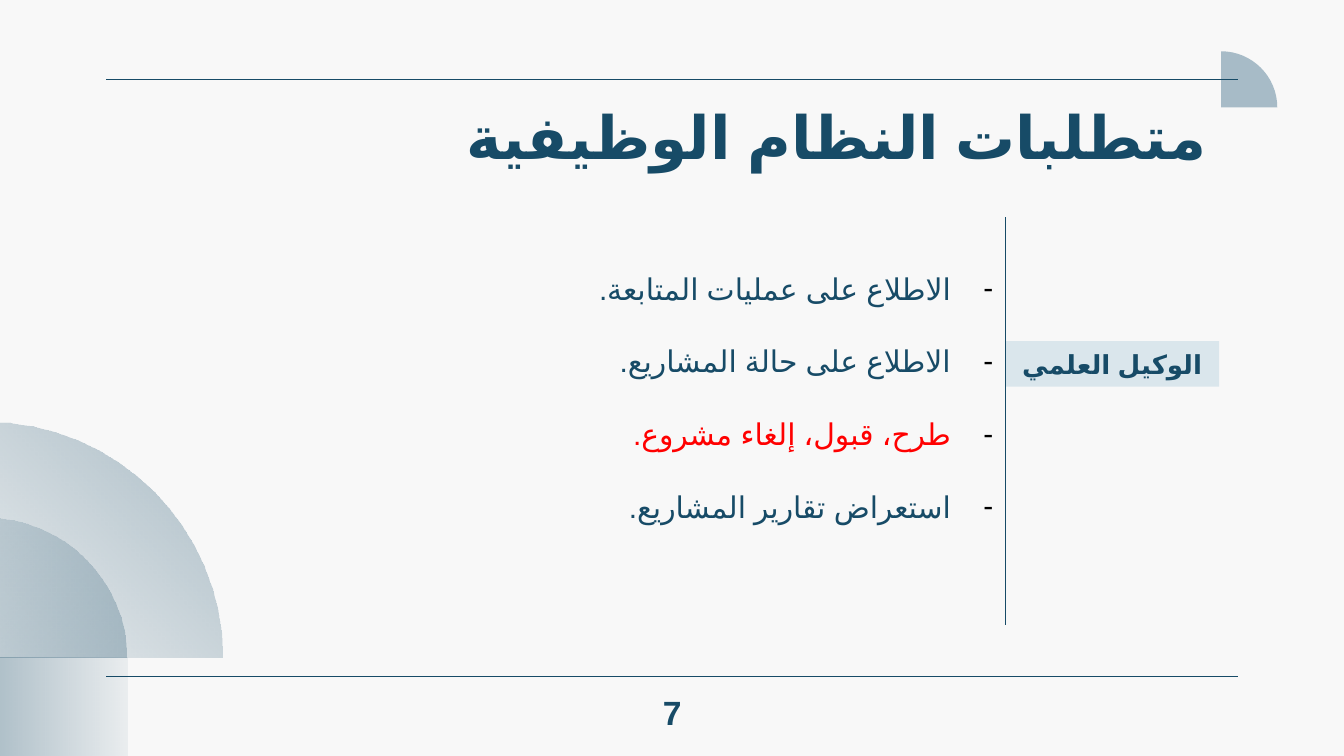
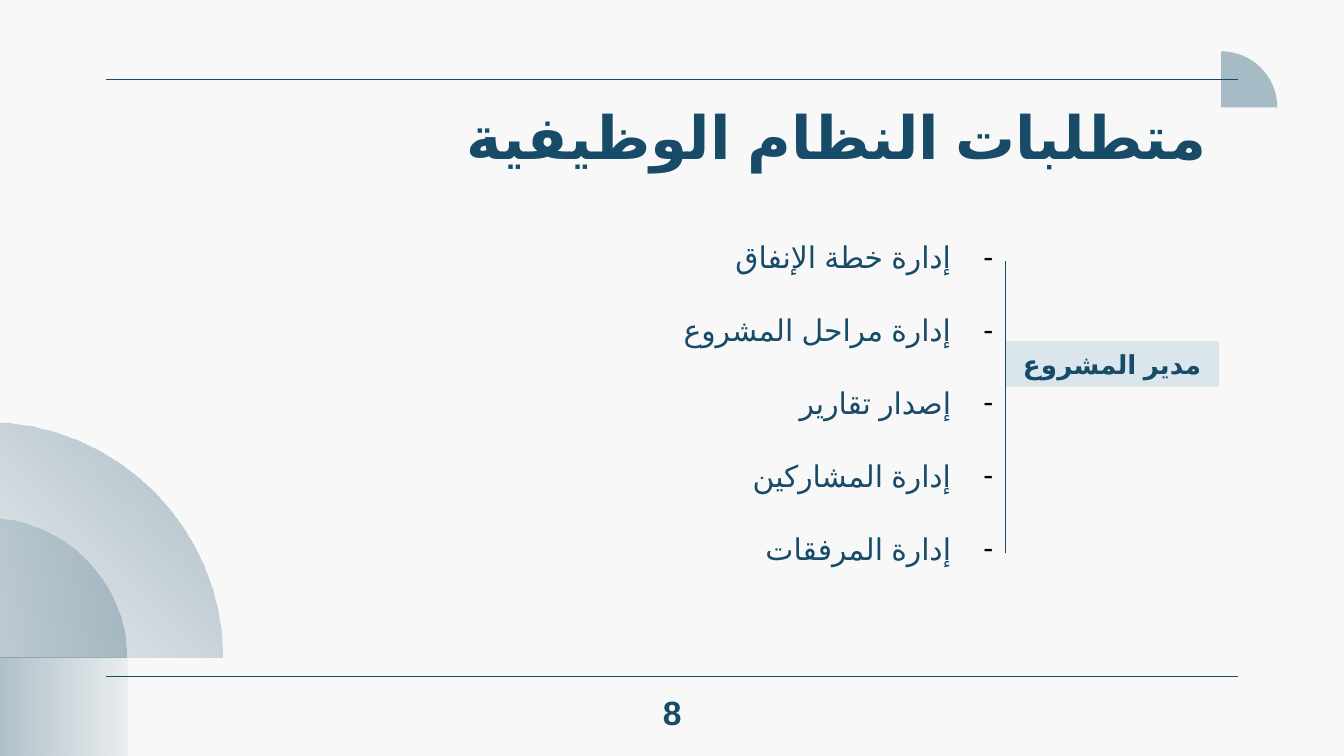
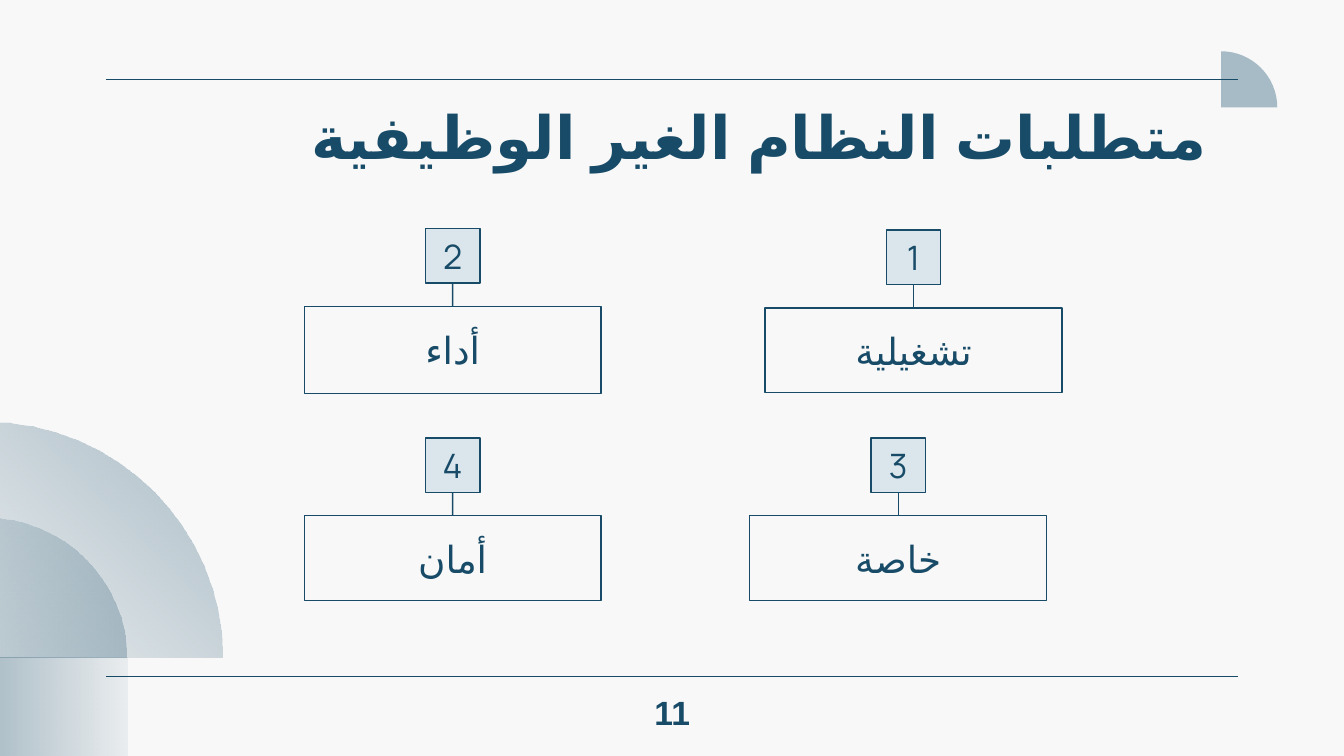
from dataclasses import dataclass

from lxml import etree
from pptx import Presentation
from pptx.dml.color import RGBColor
from pptx.enum.lang import MSO_LANGUAGE_ID
from pptx.enum.shapes import MSO_CONNECTOR, MSO_SHAPE
from pptx.enum.text import MSO_ANCHOR, MSO_AUTO_SIZE, PP_ALIGN
from pptx.oxml.ns import qn
from pptx.util import Cm, Pt

RECTANGLE = MSO_SHAPE.RECTANGLE
STRAIGHT = MSO_CONNECTOR.STRAIGHT
TOP, MIDDLE = MSO_ANCHOR.TOP, MSO_ANCHOR.MIDDLE
CENTER, RIGHT = PP_ALIGN.CENTER, PP_ALIGN.RIGHT
ARABIC, ENGLISH = MSO_LANGUAGE_ID.ARABIC, MSO_LANGUAGE_ID.ENGLISH_US
TOP_SIDE, BOTTOM_SIDE = 0, 2
CONTENT_LAYOUT, TITLE_LAYOUT = 1, 5


@dataclass(frozen=True)
class TextStyle:
    size: float
    bold: bool = False
    font: str = "Arial"
    language: MSO_LANGUAGE_ID = ARABIC


@dataclass(frozen=True)
class Theme:
    paper: str = "F8F8F8"
    navy: str = "174B67"
    corner: str = "A7BBC7"
    pale: str = "DAE6EC"
    alert: str = "FF0000"
    bullet: str = "000000"
    line_width: float = 0.75
    item_gap: float = 19.8
    title: TextStyle = TextStyle(32, True)
    item: TextStyle = TextStyle(16)
    role: TextStyle = TextStyle(14, True)
    page_number: TextStyle = TextStyle(18, True, language=ENGLISH)
    card: TextStyle = TextStyle(20)
    card_number: TextStyle = TextStyle(18, font="Manrope", language=ENGLISH)


THEME = Theme()


@dataclass(frozen=True)
class Area:
    left: float
    top: float
    width: float
    height: float

    def lengths(self) -> tuple:
        return Cm(self.left), Cm(self.top), Cm(self.width), Cm(self.height)


@dataclass(frozen=True)
class QuarterDisc:
    center_x: float
    center_y: float
    radius: float


@dataclass(frozen=True)
class Fade:
    start_alpha: int
    end_alpha: int
    angle: int


@dataclass(frozen=True)
class Item:
    text: str
    color: str = THEME.navy


@dataclass(frozen=True)
class RolePage:
    number: str
    role: str
    list_top: float
    list_height: float
    rule_top: float
    rule_bottom: float
    items: tuple


@dataclass(frozen=True)
class Card:
    number: str
    text: str
    left: float
    top: float
    height: float = 1.6


TITLE_AREA = Area(1.65, 1.63, 21.41, 1.45)
NUMBER_AREA = Area(11.84, 12.85, 1.73, 1.22)
ROLE_AREA = Area(19, 6.45, 4.04, 0.86)
LIST_LEFT, LIST_WIDTH, LIST_INDENT = -2.39, 21.41, 0.79
RULE_LEFT, RULE_RIGHT, RULE_TOPS = 2.01, 23.39, (1.5, 12.79)
CARD_WIDTH, BADGE_SIDE, BADGE_RISE = 5.61, 1.03, 1.47
ARC_HANDLE = 0.55

CORNER_DISC = QuarterDisc(23.08, 2.03, 1.06)
FADING_DISCS = (
    (QuarterDisc(-0.25, 12.43, 4.46), Fade(35, 6, 225)),
    (QuarterDisc(-0.25, 12.43, 2.65), Fade(15, 26, 315)),
)
FOOT_BLOCK, FOOT_FADE = Area(-0.25, 12.43, 2.67, 1.86), Fade(35, 6, 0)

FUNCTIONAL_TITLE = "متطلبات النظام الوظيفية"
QUALITY_TITLE = "متطلبات النظام الغير الوظيفية"

ROLE_PAGES = (
    RolePage("7", "الوكيل العلمي", 4.98, 5.05, 4.11, 11.81, (
        Item("الاطلاع على عمليات المتابعة."),
        Item("الاطلاع على حالة المشاريع."),
        Item("طرح، قبول، إلغاء مشروع.", THEME.alert),
        Item("استعراض تقارير المشاريع."),
    )),
    RolePage("8", "مدير المشروع", 4.39, 7.09, 4.93, 10.46, (
        Item("إدارة خطة الإنفاق"),
        Item("إدارة مراحل المشروع"),
        Item("إصدار تقارير"),
        Item("إدارة المشاركين"),
        Item("إدارة المرفقات"),
    )),
)

CARDS = (
    Card("1", "تشغيلية", 14.46, 5.82),
    Card("2", "أداء", 5.75, 5.79, 1.65),
    Card("3", "خاصة", 14.17, 9.75),
    Card("4", "أمان", 5.75, 9.75),
)


def rgb(color: str) -> RGBColor:
    return RGBColor.from_string(color)


def add_span(para, text: str, style: TextStyle, color: str = THEME.navy) -> None:
    span = para.add_run()
    span.text = text
    span.font.size = Pt(style.size)
    span.font.bold = style.bold
    span.font.name = style.font
    span.font.language_id = style.language
    span.font.color.rgb = rgb(color)
    complex_font = etree.SubElement(span.font._element, qn("a:cs"))
    complex_font.set("typeface", style.font)


def prepare_frame(box, anchor, inset: float = 0.25):
    frame = box.text_frame
    frame.word_wrap = True
    frame.auto_size = MSO_AUTO_SIZE.NONE
    frame.vertical_anchor = anchor
    frame.margin_left = frame.margin_right = Cm(0.25)
    frame.margin_top = frame.margin_bottom = Cm(inset)
    return frame


def write_line(box, text: str, style: TextStyle, align, anchor, inset: float = 0.25) -> None:
    para = prepare_frame(box, anchor, inset).paragraphs[0]
    para.alignment = align
    add_span(para, text, style)


def place(box, area: Area) -> None:
    box.left, box.top, box.width, box.height = area.lengths()


def paint(shape, fill: str = "", line: str = "") -> None:
    shape.shadow.inherit = False
    if fill:
        shape.fill.solid()
        shape.fill.fore_color.rgb = rgb(fill)
    else:
        shape.fill.background()
    if line:
        shape.line.color.rgb = rgb(line)
        shape.line.width = Pt(THEME.line_width)
    else:
        shape.line.fill.background()


def paint_fade(shape, fade: Fade) -> None:
    paint(shape)
    shape.fill.gradient()
    shape.fill.gradient_angle = fade.angle
    for stop in shape.fill.gradient_stops:
        stop.color.rgb = rgb(THEME.navy)
    colors = shape._element.spPr.iterfind(".//" + qn("a:srgbClr"))
    for color, alpha in zip(colors, (fade.start_alpha, fade.end_alpha)):
        etree.SubElement(color, qn("a:alpha")).set("val", str(alpha * 1000))


def add_rectangle(page, area: Area, fill: str = "", line: str = ""):
    shape = page.shapes.add_shape(RECTANGLE, *area.lengths())
    paint(shape, fill, line)
    return shape


def add_quarter_disc(page, disc: QuarterDisc):
    center_x, center_y, radius = Cm(disc.center_x), Cm(disc.center_y), Cm(disc.radius)
    outline = page.shapes.build_freeform(center_x, center_y)
    outline.add_line_segments(
        [(center_x, center_y - radius), (center_x + radius, center_y)], close=True)
    shape = outline.convert_to_shape()
    side = list(shape._element.iter(qn("a:lnTo")))[1]
    curve = etree.Element(qn("a:cubicBezTo"))
    handle = round(radius * ARC_HANDLE)
    for x, y in ((handle, 0), (radius, radius - handle), (radius, radius)):
        point = etree.SubElement(curve, qn("a:pt"))
        point.set("x", str(x))
        point.set("y", str(y))
    side.getparent().replace(side, curve)
    return shape


def add_line(page, start_x: float, start_y: float, end_x: float, end_y: float):
    line = page.shapes.add_connector(
        STRAIGHT, Cm(start_x), Cm(start_y), Cm(end_x), Cm(end_y))
    line.line.color.rgb = rgb(THEME.navy)
    line.line.width = Pt(THEME.line_width)
    etree.SubElement(line._element.spPr, qn("a:effectLst"))
    return line


def add_page(deck, layout: int, title: str, number: str):
    page = deck.slides.add_slide(deck.slide_layouts[layout])
    paint(add_quarter_disc(page, CORNER_DISC), THEME.corner)
    for top in RULE_TOPS:
        add_line(page, RULE_LEFT, top, RULE_RIGHT, top)
    paint_fade(add_rectangle(page, FOOT_BLOCK), FOOT_FADE)
    for disc, fade in FADING_DISCS:
        paint_fade(add_quarter_disc(page, disc), fade)
    place(page.shapes.title, TITLE_AREA)
    write_line(page.shapes.title, title, THEME.title, RIGHT, TOP)
    number_box = page.shapes.add_textbox(*NUMBER_AREA.lengths())
    write_line(number_box, number, THEME.page_number, CENTER, MIDDLE)
    return page


def set_dash_bullet(para) -> None:
    properties = para._p.get_or_add_pPr()
    properties.set("marL", str(Cm(LIST_INDENT)))
    properties.set("indent", str(-Cm(LIST_INDENT)))
    properties.set("rtl", "1")
    bullet_color = etree.SubElement(properties, qn("a:buClr"))
    etree.SubElement(bullet_color, qn("a:srgbClr")).set("val", THEME.bullet)
    etree.SubElement(properties, qn("a:buFont")).set("typeface", THEME.item.font)
    etree.SubElement(properties, qn("a:buChar")).set("char", "-")


def write_items(box, items: tuple) -> None:
    frame = prepare_frame(box, TOP, 0.13)
    for index, item in enumerate(items):
        para = frame.add_paragraph() if index else frame.paragraphs[0]
        para.alignment = RIGHT
        para.space_before = Pt(0)
        para.space_after = Pt(THEME.item_gap)
        set_dash_bullet(para)
        add_span(para, item.text, THEME.item, item.color)


def add_role_page(deck, content: RolePage) -> None:
    page = add_page(deck, CONTENT_LAYOUT, FUNCTIONAL_TITLE, content.number)
    body = page.placeholders[1]
    place(body, Area(LIST_LEFT, content.list_top, LIST_WIDTH, content.list_height))
    write_items(body, content.items)
    role_box = add_rectangle(page, ROLE_AREA, THEME.pale)
    write_line(role_box, content.role, THEME.role, CENTER, TOP, 0.13)
    add_line(page, ROLE_AREA.left, content.rule_top, ROLE_AREA.left, content.rule_bottom)


def add_card(page, card: Card) -> None:
    box = add_rectangle(
        page, Area(card.left, card.top, CARD_WIDTH, card.height), line=THEME.navy)
    write_line(box, card.text, THEME.card, CENTER, MIDDLE)
    badge_left = card.left + (CARD_WIDTH - BADGE_SIDE) / 2
    badge_area = Area(badge_left, card.top - BADGE_RISE, BADGE_SIDE, BADGE_SIDE)
    badge = add_rectangle(page, badge_area, THEME.pale, THEME.navy)
    write_line(badge, card.number, THEME.card_number, CENTER, MIDDLE)
    middle = card.left + CARD_WIDTH / 2
    stem = add_line(page, middle, badge_area.top + BADGE_SIDE, middle, card.top)
    stem.begin_connect(badge, BOTTOM_SIDE)
    stem.end_connect(box, TOP_SIDE)


def main() -> None:
    deck = Presentation()
    deck.slide_width, deck.slide_height = Cm(25.4), Cm(14.29)
    background = deck.slide_master.background.fill
    background.solid()
    background.fore_color.rgb = rgb(THEME.paper)
    for content in ROLE_PAGES:
        add_role_page(deck, content)
    cards_page = add_page(deck, TITLE_LAYOUT, QUALITY_TITLE, "11")
    for card in CARDS:
        add_card(cards_page, card)
    deck.save("out.pptx")


if __name__ == "__main__":
    main()
